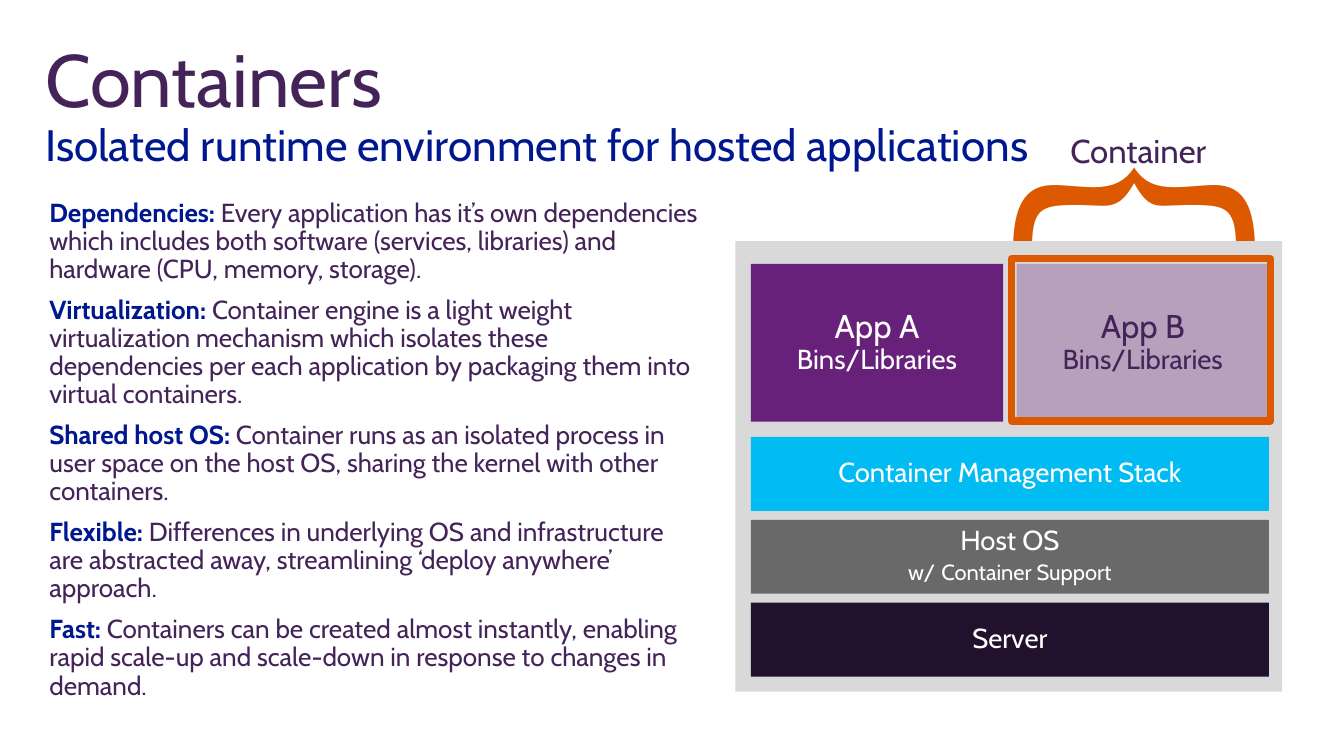
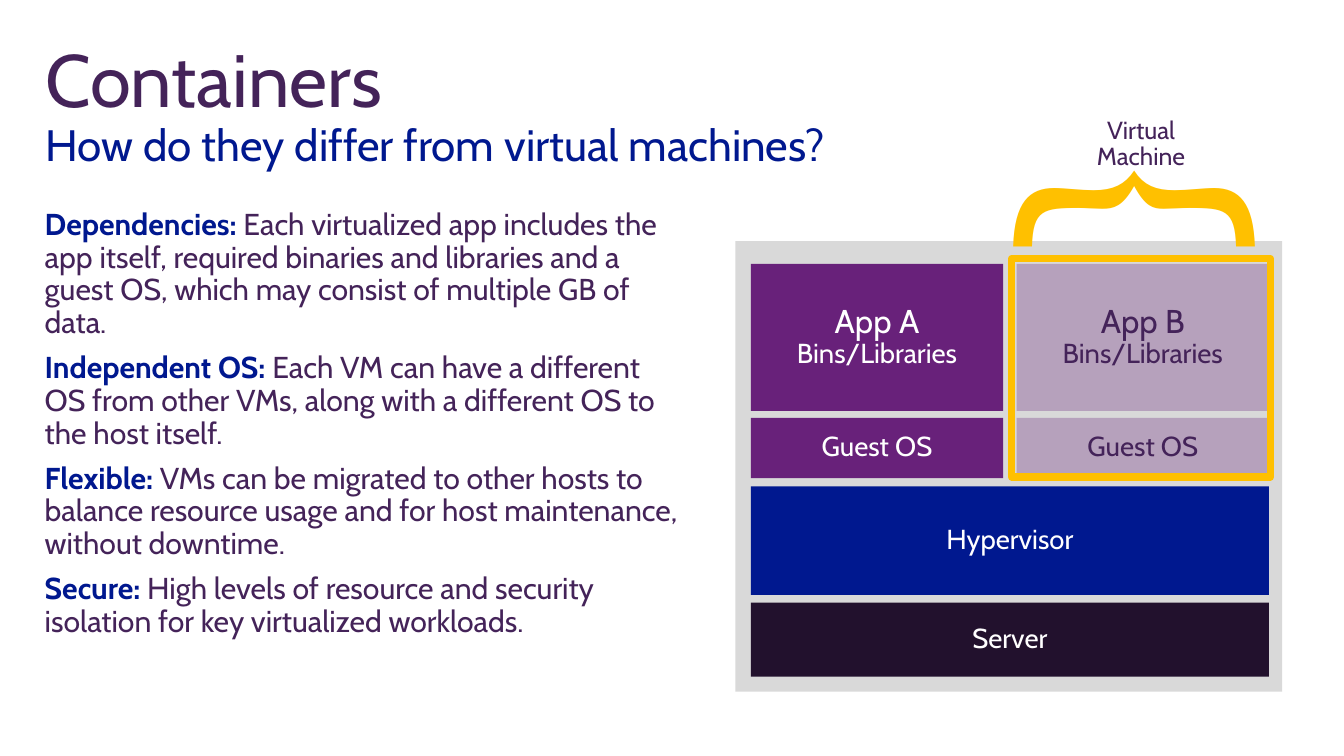
import pptx
import pptx.util
import pptx.dml.color
import pptx.enum.shapes
import pptx.enum.text
import pptx.oxml.ns
import lxml.etree

Cm, Pt = pptx.util.Cm, pptx.util.Pt
ALIGN = pptx.enum.text.PP_ALIGN
ANCHOR = pptx.enum.text.MSO_ANCHOR
AUTOSIZE = pptx.enum.text.MSO_AUTO_SIZE
qn = pptx.oxml.ns.qn

# Shared look
FONT = "Cabin"
INK, BLUE, WHITE = "442359", "00188F", "FFFFFF"
PURPLE, CYAN, GREY, NIGHT, PANEL = "68217A", "00BCF2", "696969", "22112D", "D9D9D9"
TINT = 30  # opacity in percent of the highlighted column
BOX_INSETS = (0.51, 0.41, 0.51, 0.41)
TITLE_AT = (0.76, 0.86, 33.5, 2.49)
PANEL_AT = (18.9, 6.2, 14.05, 11.58)
STACK_LEFT, STACK_WIDTH, COLUMN_GAP = 19.3, 13.31, 0.35
STACK_TOP = 6.78
COLUMN_WIDTH = (STACK_WIDTH - COLUMN_GAP) / 2

# Content: a line is a list of (text, size) runs
LIBRARIES = [("Bins/Libraries", 20)]
APPS = [[[(name, 24)], LIBRARIES] for name in ("App A", "App B")]
GUESTS = [[[("Guest OS", 20)]]] * 2
SERVER = (15.49, 1.9, NIGHT, [[[("Server", 20)]]])

# Each layer: top, height, colour, one or two cells
SLIDES = [
    {
        "subtitle": "Isolated runtime environment for hosted applications",
        "body_at": (0.76, 4.62, 17.78, 10.64),
        "body_size": 19,
        "points": [
            ("Dependencies: ", "Every application has it’s own dependencies which includes both "
             "software (services, libraries) and hardware (CPU, memory, storage)."),
            ("Virtualization: ", "Container engine is a light weight virtualization mechanism which "
             "isolates these dependencies per each application by packaging them into virtual containers."),
            ("Shared host OS: ", "Container runs as an isolated process in user space on the host OS, "
             "sharing the kernel with other containers."),
            ("Flexible: ", "Differences in underlying OS and infrastructure are abstracted away, "
             "streamlining ‘deploy anywhere’ approach."),
            ("Fast: ", "Containers can be created almost instantly, enabling rapid scale-up and "
             "scale-down in response to changes in demand."),
        ],
        "accent": "DD5900",
        "brace_top": 0.97,
        "brace_behind_panel": True,
        "label": [[("Container", 24)]],
        "label_at": (27, 3.05, 4.7, 1.75),
        "label_align": ALIGN.LEFT,
        "outline_height": 4.17,
        "layers": [
            (STACK_TOP, 4.06, PURPLE, APPS),
            (11.23, 1.9, CYAN, [[[("Container Management Stack", 20)]]]),
            (13.36, 1.9, GREY, [[[("Host OS", 20)],
                                 [("w/", 16), (" ", 20), ("Container Support", 16)]]]),
            SERVER,
        ],
    },
    {
        "subtitle": "How do they differ from virtual machines?",
        "body_at": (0.64, 4.88, 17.37, 10.64),
        "body_size": 22,
        "points": [
            ("Dependencies: ", "Each virtualized app includes the app itself, required binaries and "
             "libraries and a guest OS, which may consist of multiple GB of data."),
            ("Independent OS: ", "Each VM can have a different OS from other VMs, along with a "
             "different OS to the host itself."),
            ("Flexible: ", "VMs can be migrated to other hosts to balance resource usage and for "
             "host maintenance, without downtime."),
            ("Secure: ", "High levels of resource and security isolation for key virtualized workloads."),
        ],
        "accent": "FFC000",
        "brace_top": 1.04,
        "brace_behind_panel": False,
        "label": [[("Virtual", 18)], [("Machine", 18)]],
        "label_at": (27.61, 2.62, 3.43, 2.21),
        "label_align": ALIGN.CENTER,
        "outline_height": 5.61,
        "layers": [
            (STACK_TOP, 3.78, PURPLE, APPS),
            (10.74, 1.55, PURPLE, GUESTS),
            (12.5, 2.79, BLUE, [[[("Hypervisor", 20)]]]),
            SERVER,
        ],
    },
]


def rgb(value):
    return pptx.dml.color.RGBColor.from_string(value)


def place(shape, at):
    shape.left, shape.top, shape.width, shape.height = [Cm(v) for v in at]


def set_frame(tf, insets, anchor=ANCHOR.TOP, wrap=True, auto_size=AUTOSIZE.NONE):
    tf.margin_left, tf.margin_top, tf.margin_right, tf.margin_bottom = [Cm(v) for v in insets]
    tf.vertical_anchor = anchor
    tf.word_wrap = wrap
    tf.auto_size = auto_size


def set_paragraph(p, align=ALIGN.LEFT, before=0, after=0):
    p.alignment = align
    p.line_spacing = 0.9
    p.space_before, p.space_after = Pt(before), Pt(after)


def add_run(p, text, size, color, bold=False):
    r = p.add_run()
    r.text = text
    r.font.name, r.font.size, r.font.bold = FONT, Pt(size), bold
    r.font.color.rgb = rgb(color)


def add_lines(p, lines, color):
    for i, runs in enumerate(lines):
        if i:
            p.add_line_break()
        for text, size in runs:
            add_run(p, text, size, color)


def add_rect(s, at, fill=None, opacity=100, line=None):
    sp = s.shapes.add_shape(pptx.enum.shapes.MSO_SHAPE.RECTANGLE, *[Cm(v) for v in at])
    sp.shadow.inherit = False
    if fill:
        sp.fill.solid()
        sp.fill.fore_color.rgb = rgb(fill)
        if opacity < 100:
            color = sp.fill._xPr.find(qn("a:solidFill"))[0]
            lxml.etree.SubElement(color, qn("a:alpha")).set("val", str(opacity * 1000))
    else:
        sp.fill.background()
    if line:
        sp.line.color.rgb = rgb(line)
        sp.line.width = Pt(5.25)
    else:
        sp.line.fill.background()
    return sp


def add_label(s, at, lines, color, align=ALIGN.LEFT):
    sp = s.shapes.add_textbox(*[Cm(v) for v in at])
    set_frame(sp.text_frame, BOX_INSETS, wrap=False, auto_size=AUTOSIZE.SHAPE_TO_FIT_TEXT)
    p = sp.text_frame.paragraphs[0]
    set_paragraph(p, align, after=6)
    add_lines(p, lines, color)
    return sp


def add_title(s, subtitle):
    place(s.shapes.title, TITLE_AT)
    tf = s.shapes.title.text_frame
    set_frame(tf, (0.41, 0.25, 0.41, 0.25))
    p = tf.paragraphs[0]
    set_paragraph(p)
    add_run(p, "Containers", 54, INK)
    p.add_line_break()
    add_run(p, subtitle, 32, BLUE)


def add_body(s, at, points, size):
    body = s.placeholders[1]
    place(body, at)
    tf = body.text_frame
    set_frame(tf, (0.51, 0.51, 0.51, 0.25))
    for i, (term, text) in enumerate(points):
        p = tf.add_paragraph() if i else tf.paragraphs[0]
        set_paragraph(p, before=3.1, after=6.1)
        pPr = p._p.get_or_add_pPr()
        pPr.set("marL", "0")
        pPr.set("indent", "0")
        lxml.etree.SubElement(pPr, qn("a:buNone"))
        add_run(p, term, size, BLUE, bold=True)
        add_run(p, text, size, INK)


def add_layer(s, top, height, color, cells):
    width = STACK_WIDTH if len(cells) == 1 else COLUMN_WIDTH
    for i, lines in enumerate(cells):
        # The second column is the tinted one
        at = (STACK_LEFT + i * (width + COLUMN_GAP), top, width, height)
        sp = add_rect(s, at, color, opacity=TINT if i else 100)
        set_frame(sp.text_frame, BOX_INSETS, ANCHOR.MIDDLE)
        p = sp.text_frame.paragraphs[0]
        set_paragraph(p, ALIGN.CENTER)
        add_lines(p, lines, INK if i else WHITE)


def add_brace(s, top, color):
    brace = add_label(s, (27.48, top, 3.18, 8.48), [[("}", 199)]], color)
    brace.rotation = 270


def build_slide(prs, content):
    s = prs.slides.add_slide(prs.slide_layouts[1])
    add_title(s, content["subtitle"])
    add_body(s, content["body_at"], content["points"], content["body_size"])

    # Panel and brace, in the stacking order of this slide
    accent = content["accent"]
    if content["brace_behind_panel"]:
        add_brace(s, content["brace_top"], accent)
    add_rect(s, PANEL_AT, PANEL)
    if not content["brace_behind_panel"]:
        add_brace(s, content["brace_top"], accent)
    add_label(s, content["label_at"], content["label"], INK, content["label_align"])

    # Stack and highlighted column
    for layer in content["layers"]:
        add_layer(s, *layer)
    add_rect(s, (26, 6.65, 6.65, content["outline_height"]), line=accent)


def main():
    prs = pptx.Presentation()
    prs.slide_width, prs.slide_height = Cm(34.54), Cm(19.43)
    for content in SLIDES:
        build_slide(prs, content)
    prs.save("out.pptx")


if __name__ == "__main__":
    main()
